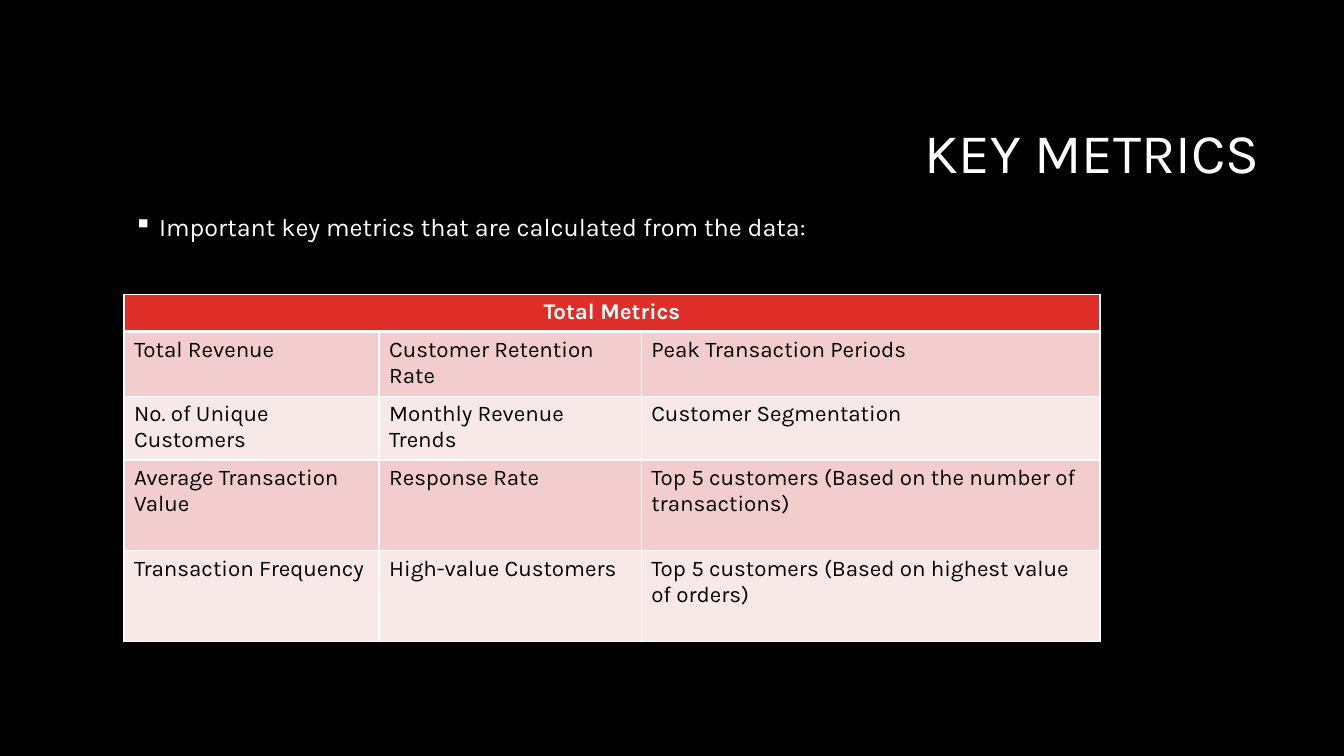
from lxml.etree import SubElement
from pptx import Presentation
from pptx.dml.color import RGBColor
from pptx.enum.text import MSO_ANCHOR as Anchor, PP_ALIGN as Align
from pptx.oxml.ns import qn
from pptx.util import Inches, Pt

FONT = "Karla"
COLORS = {
    "background": "000000",
    "light": "FFFFFF",
    "dark": "000000",
    "header": "DF2E28",
    "band_odd": "F3CDCD",
    "band_even": "F9E8E8",
}
HEADER = "Total Metrics"
METRICS = [
    ["Total Revenue", "Customer Retention Rate", "Peak Transaction Periods"],
    ["No. of Unique Customers", "Monthly Revenue Trends", "Customer Segmentation"],
    ["Average Transaction Value", "Response Rate",
     "Top 5 customers (Based on the number of transactions)"],
    ["Transaction Frequency", "High-value Customers",
     "Top 5 customers (Based on highest value of orders)"],
]
COL_WIDTHS = [2.53, 2.6, 4.55]
ROW_HEIGHTS = [0.37, 0.64, 0.63, 0.9, 0.9]


def rgb(name):
    return RGBColor.from_string(COLORS[name])


def write(tf, text, size, color, align=Align.LEFT, bold=False):
    tf.text = text
    p = tf.paragraphs[0]
    p.alignment = align
    font = p.runs[0].font
    font.name, font.size, font.bold = FONT, Pt(size), bold
    font.color.rgb = rgb(color)
    return p


def add_title(s, left, top, width, height):
    title = s.shapes.title
    title.left, title.top = Inches(left), Inches(top)
    title.width, title.height = Inches(width), Inches(height)
    tf = title.text_frame
    tf.vertical_anchor = Anchor.MIDDLE
    write(tf, "KEY METRICS", 40, "light", Align.RIGHT).line_spacing = 0.9


def add_intro(s, left, top, width, height):
    box = s.shapes.add_textbox(Inches(left), Inches(top), Inches(width), Inches(height))
    tf = box.text_frame
    tf.word_wrap = True
    tf.vertical_anchor = Anchor.MIDDLE
    p = write(tf, "Important key metrics that are calculated from the data:", 18, "light")
    pPr = p._p.get_or_add_pPr()
    pPr.set("marL", str(Inches(0.25)))
    pPr.set("indent", str(Inches(-0.25)))
    SubElement(pPr, qn("a:buChar"), char="▪")


def set_borders(cell, top=1, bottom=1):
    tcPr = cell._tc.get_or_add_tcPr()
    for side, width in (("L", 1), ("R", 1), ("T", top), ("B", bottom)):
        ln = SubElement(tcPr, qn(f"a:ln{side}"), w=str(Pt(width)))
        fill = SubElement(ln, qn("a:solidFill"))
        SubElement(fill, qn("a:srgbClr"), val=COLORS["light"])


def fill_cell(cell, color):
    cell.fill.solid()
    cell.fill.fore_color.rgb = rgb(color)


def add_metrics_table(s, left, top, width, height):
    frame = s.shapes.add_table(len(ROW_HEIGHTS), len(COL_WIDTHS), Inches(left),
                               Inches(top), Inches(width), Inches(height))
    table = frame.table
    for col, col_width in zip(table.columns, COL_WIDTHS):
        col.width = Inches(col_width)
    for row, row_height in zip(table.rows, ROW_HEIGHTS):
        row.height = Inches(row_height)

    for c in range(len(COL_WIDTHS)):
        set_borders(table.cell(0, c), bottom=3)
        fill_cell(table.cell(0, c), "header")
    header = table.cell(0, 0)
    header.merge(table.cell(0, len(COL_WIDTHS) - 1))
    write(header.text_frame, HEADER, 16, "light", Align.CENTER, True)

    for r, metrics in enumerate(METRICS, 1):
        for c, metric in enumerate(metrics):
            cell = table.cell(r, c)
            set_borders(cell, top=3 if r == 1 else 1)
            fill_cell(cell, "band_odd" if r % 2 else "band_even")
            write(cell.text_frame, metric, 16, "dark")


def main():
    prs = Presentation()
    prs.slide_width, prs.slide_height = Inches(13.33), Inches(7.5)
    s = prs.slides.add_slide(prs.slide_layouts[5])
    s.background.fill.solid()
    s.background.fill.fore_color.rgb = rgb("background")
    add_title(s, 3.17, 0.84, 9.42, 1.41)
    add_intro(s, 1.23, 2.05, 8.21, 0.4)
    add_metrics_table(s, 1.23, 2.92, sum(COL_WIDTHS), sum(ROW_HEIGHTS))
    prs.save("out.pptx")


if __name__ == "__main__":
    main()
